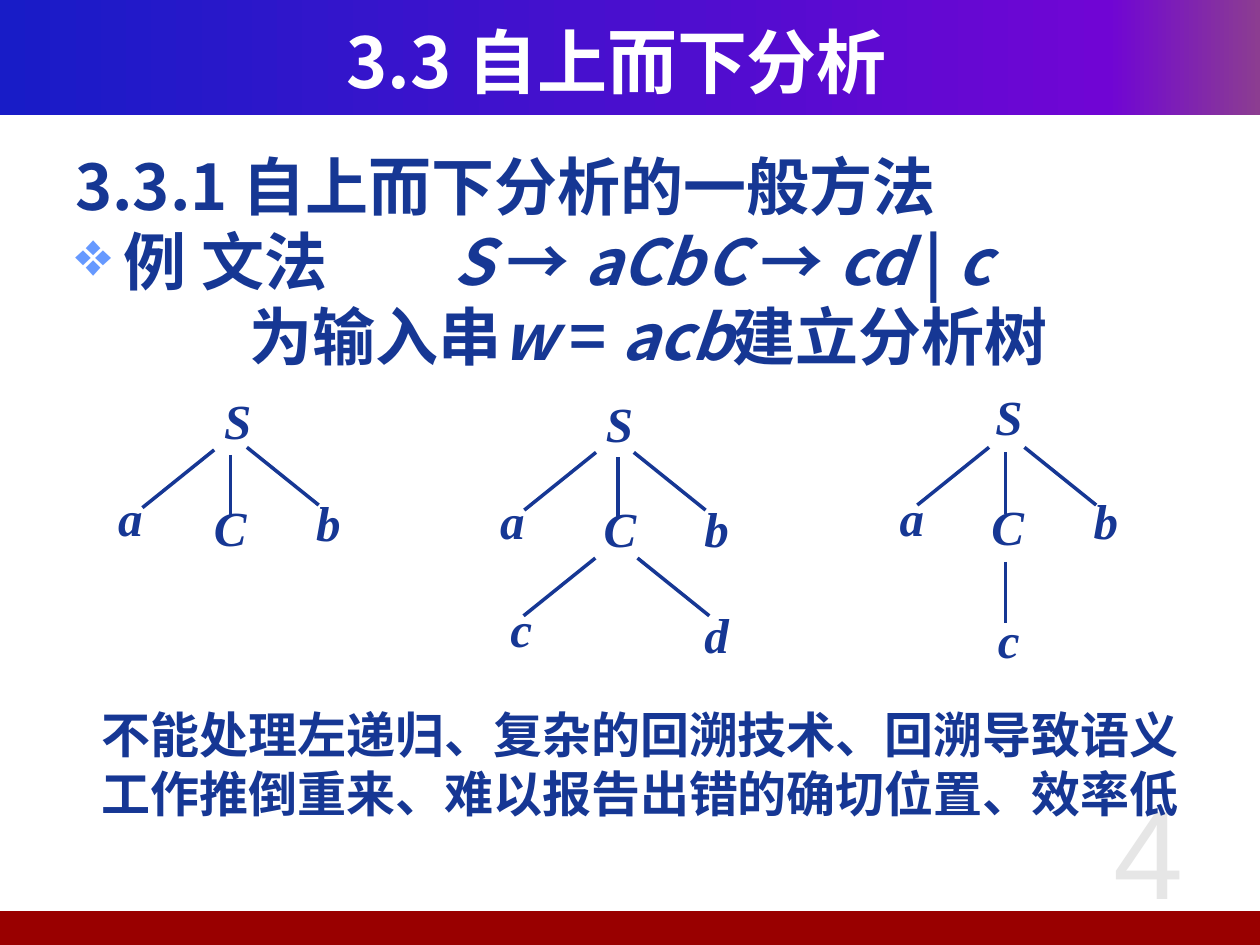
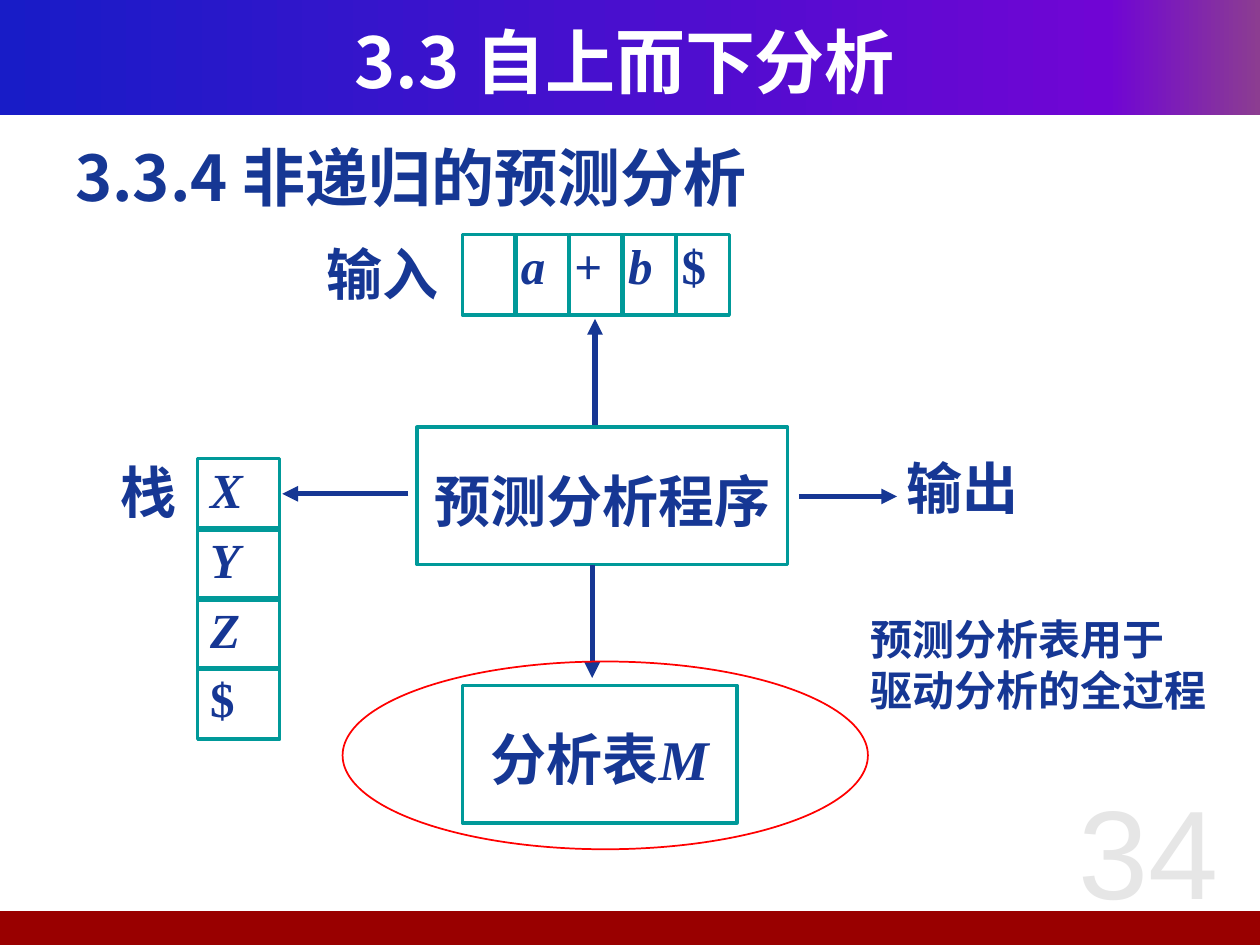
"""Build two lecture slides on top-down parsing."""
import copy

import lxml.etree
import pptx
import pptx.dml.color
import pptx.enum.shapes
import pptx.enum.text
import pptx.oxml.ns
import pptx.util

Pt = pptx.util.Pt
SHAPES = pptx.enum.shapes.MSO_SHAPE
ALIGN = pptx.enum.text.PP_ALIGN
ANCHOR = pptx.enum.text.MSO_ANCHOR
qn = pptx.oxml.ns.qn

COLORS = {
    "ink": "163794", "title": "FFFFFF", "number": "E6E6E6", "footer": "990000",
    "bullet": "6699FF", "cell": "009999", "highlight": "FF0000",
    "band_start": "181CC7", "band_middle": "7005D4", "band_end": "8C3D91",
}
SANS, SERIF = "Noto Sans CJK SC", "Times New Roman"
HANGING = 27.36
BRANCHES = {"left": (-41, 33), "middle": (0, 35), "right": (41, 33)}
TREES = [
    {
        "origin": (126.7, 222.5),
        "nodes": [("S", 0, 0), ("a", -60.5, 55.4), ("C", -5.8, 61.2), ("b", 52.6, 58.3)],
        "branches": [("left", -4.3, 34.6), ("middle", 5, 37.4), ("right", 14.4, 33.1)],
    },
    {
        "origin": (344.9, 223.9),
        "nodes": [("S", 0, 0), ("a", -60.5, 55.4), ("C", -1.4, 60.5), ("b", 56.2, 60.5),
                  ("c", -54.7, 117.4), ("d", 56.2, 121)],
        "branches": [("left", -4.3, 34.6), ("middle", 8.3, 37.4), ("right", 17.3, 34.6),
                     ("left", -4.7, 95), ("right", 19.4, 95)],
    },
    {
        "origin": (567.4, 220.3),
        "nodes": [("S", 0, 0), ("a", -54.7, 57.6), ("C", -2.2, 62.6), ("b", 56.2, 59),
                  ("c", 1.4, 127.4)],
        "branches": [("left", -2.2, 35.3), ("middle", 7.2, 38.2), ("right", 18, 35.3),
                     ("middle", 7.2, 100.8)],
    },
]


def color(name):
    """Return the named colour."""
    return pptx.dml.color.RGBColor.from_string(COLORS[name])


def set_indent(paragraph, left, first, bullet=None):
    """Set the indents, the tab size and an optional bullet."""
    properties = paragraph._p.get_or_add_pPr()
    properties.set("marL", str(Pt(left)))
    properties.set("indent", str(Pt(first)))
    properties.set("defTabSz", str(Pt(72)))
    if bullet:
        bullet_color = lxml.etree.SubElement(properties, qn("a:buClr"))
        lxml.etree.SubElement(bullet_color, qn("a:srgbClr"), val=COLORS["bullet"])
        lxml.etree.SubElement(properties, qn("a:buChar"), char=bullet)


def write(paragraph, text, size, font=SERIF, ink="ink", bold=True, align=ALIGN.LEFT, spacing=None):
    """Fill a paragraph; asterisks switch italics on and off."""
    paragraph.alignment = align
    paragraph.line_spacing = spacing
    paragraph.font.size = Pt(size)
    paragraph.font.name = font
    paragraph.font.bold = bold
    paragraph.font.color.rgb = color(ink)
    for index, part in enumerate(text.split("*")):
        if part:
            run = paragraph.add_run()
            run.text = part
            if index % 2:
                run.font.italic = True


def set_frame(shape, insets, anchor=ANCHOR.TOP, wrap=True):
    """Set insets (left, top, right, bottom), anchor and wrapping."""
    frame = shape.text_frame
    frame.word_wrap = wrap
    frame.vertical_anchor = anchor
    frame.margin_left, frame.margin_top, frame.margin_right, frame.margin_bottom = map(Pt, insets)
    return frame


def add_text(slide, box, insets=(7.2, 3.6, 7.2, 3.6), anchor=ANCHOR.TOP, wrap=True):
    """Add an empty text box and return its frame."""
    return set_frame(slide.shapes.add_textbox(*map(Pt, box)), insets, anchor, wrap)


def add_shape(slide, kind, box, fill=None, line=None, width=2):
    """Add a flat preset shape."""
    shape = slide.shapes.add_shape(kind, *map(Pt, box))
    shape.shadow.inherit = False
    if fill:
        shape.fill.solid()
        shape.fill.fore_color.rgb = color(fill)
    else:
        shape.fill.background()
    if line:
        shape.line.color.rgb = color(line)
        shape.line.width = Pt(width)
    else:
        shape.line.fill.background()
    return shape


def add_line(slide, start, end, width=2, arrow=False):
    """Draw a straight line, optionally with an arrowhead at its end."""
    connector = slide.shapes.add_connector(
        pptx.enum.shapes.MSO_CONNECTOR.STRAIGHT, *map(Pt, (*start, *end)))
    connector.line.color.rgb = color("ink")
    connector.line.width = Pt(width)
    properties = connector._element.spPr
    if arrow:
        lxml.etree.SubElement(properties.find(qn("a:ln")), qn("a:tailEnd"), type="triangle")
    lxml.etree.SubElement(properties, qn("a:effectLst"))


def add_band(slide, box):
    """Draw the three-colour title band."""
    fill = add_shape(slide, SHAPES.RECTANGLE, box).fill
    fill.gradient()
    fill.gradient_angle = 0
    first = slide.shapes[-1]._element.find(".//" + qn("a:gs"))
    first.addnext(copy.deepcopy(first))
    stops = zip(fill.gradient_stops, (0, 0.88, 1), ("band_start", "band_middle", "band_end"))
    for stop, position, name in stops:
        stop.position = position
        stop.color.rgb = color(name)


def add_page(presentation, title, number):
    """Add a slide with the shared band, title, footer and number."""
    slide = presentation.slides.add_slide(presentation.slide_layouts[6])
    add_band(slide, (0, 0, 720, 65.5))
    add_shape(slide, SHAPES.RECTANGLE, (-2.9, 520.6, 722.9, 19.4), fill="footer")
    frame = add_text(slide, (592.6, 434.2, 127.4, 102.2), anchor=ANCHOR.MIDDLE)
    write(frame.paragraphs[0], number, 72, "Arial", "number", False, ALIGN.CENTER)
    frame = add_text(slide, (23.8, 12.2, 666, 44.6), anchor=ANCHOR.MIDDLE)
    write(frame.paragraphs[0], title, 40, SANS, "title", align=ALIGN.CENTER)
    return slide


def add_body(slide, lines, top_inset):
    """Write the heading and the lines below it, each with its bullet."""
    frame = add_text(slide, (36, 77, 648, 413.3), (7.2, top_inset, 7.2, 3.6))
    for index, (text, bullet) in enumerate(lines):
        paragraph = frame.add_paragraph() if index else frame.paragraphs[0]
        set_indent(paragraph, HANGING, -HANGING, bullet)
        write(paragraph, text, 36, SANS, spacing=Pt(42.9))


def add_tree(slide, origin, nodes, branches):
    """Draw a parse tree relative to the corner of its root."""
    left, top = origin
    for direction, x, y in branches:
        run, drop = BRANCHES[direction]
        start = (left + x, top + y)
        add_line(slide, start, (start[0] + run, start[1] + drop))
    for symbol, x, y in nodes:
        frame = add_text(slide, (left + x, top + y, 24.5, 39.6), (1.4, 0.7, 1.4, 0.7))
        write(frame.paragraphs[0], f"*{symbol}*", 28)


def add_cells(slide, symbols, box, step, insets):
    """Draw a run of symbol cells, each one step from the last."""
    left, top, width, height = box
    for index, symbol in enumerate(symbols):
        cell = add_shape(slide, SHAPES.RECTANGLE,
                         (left + index * step[0], top + index * step[1], width, height),
                         line="cell")
        if symbol:
            text = f"*{symbol}*" if symbol.isalpha() else symbol
            write(set_frame(cell, insets).paragraphs[0], text, 28)


def add_block(slide, text, box):
    """Draw a labelled component of the parser."""
    block = add_shape(slide, SHAPES.RECTANGLE, box, line="cell")
    frame = set_frame(block, (7.2, 7.9, 7.2, 3.6), ANCHOR.MIDDLE)
    write(frame.paragraphs[0], text, 32, align=ALIGN.CENTER)


def add_label(slide, text, box):
    """Write a label beside a part of the parser."""
    frame = add_text(slide, box, (7.2, 0, 7.2, 7.2), ANCHOR.MIDDLE)
    write(frame.paragraphs[0], text, 32)


def build_general_method(presentation):
    """Build the slide on the general method."""
    slide = add_page(presentation, "3.3 自上而下分析 ", "4")
    add_body(slide, [
        ("3.3.1 自上而下分析的一般方法", None),
        ("例\t文法\t*S *→ *aCb\tC *→ *cd *| *c*", "❖"),
        ("\t\t为输入串*w* = *acb*建立分析树", None),
    ], 7.6)
    for tree in TREES:
        add_tree(slide, **tree)
    paragraph = add_text(slide, (23.8, 396, 671.8, 131.8), (7.2, 6.5, 7.2, 3.6)).paragraphs[0]
    set_indent(paragraph, HANGING, 0)
    write(paragraph, "不能处理左递归、复杂的回溯技术、回溯导致语义工作推倒重来、"
          "难以报告出错的确切位置、效率低", 28, spacing=Pt(33.7))


def build_predictive_parser(presentation):
    """Build the slide on the table-driven parser."""
    slide = add_page(presentation, "3.3 自上而下分析", "34")
    add_body(slide, [("3.3.4 非递归的预测分析", None)], 2.4)
    add_cells(slide, ["", "a", "+", "b", "$"], (264.2, 133.9, 30.2, 46.1), (30.6, 0),
              (2.9, 0.7, 1.4, 0.7))
    add_cells(slide, "XYZ$", (113, 262.1, 46.8, 41), (0, 39.8), (7.2, 0.7, 7.2, 3.6))
    add_block(slide, "预测分析程序", (238.3, 244.1, 211.7, 78.5))
    add_block(slide, "分析表*M*", (264.2, 391.7, 157, 78.5))
    add_label(slide, "输入", (179.3, 133.9, 82.1, 51.1))
    add_label(slide, "输出", (511.2, 256.3, 81.4, 51.8))
    add_label(slide, "栈", (61.9, 258.5, 75.6, 51.8))
    for start, end in [
        ((340, 242.6), (340, 182.2)),
        ((338.4, 322.6), (338.4, 387.4)),
        ((456.5, 283.7), (512.6, 283.7)),
        ((233.3, 282.2), (161.3, 282.2)),
    ]:
        add_line(slide, start, end, 3, arrow=True)
    add_shape(slide, SHAPES.OVAL, (195.8, 378, 300.2, 107.3), line="highlight", width=1)
    frame = add_text(slide, (490.3, 347, 209.5, 65.5), wrap=False)
    write(frame.paragraphs[0], "预测分析表用于", 24, "Cabin", spacing=Pt(29.1))
    write(frame.add_paragraph(), "驱动分析的全过程", 24, "Cabin", spacing=Pt(29.1))


def main():
    """Build and save the presentation."""
    presentation = pptx.Presentation()
    presentation.slide_width, presentation.slide_height = Pt(720), Pt(540)
    build_general_method(presentation)
    build_predictive_parser(presentation)
    presentation.save("out.pptx")


if __name__ == "__main__":
    main()
